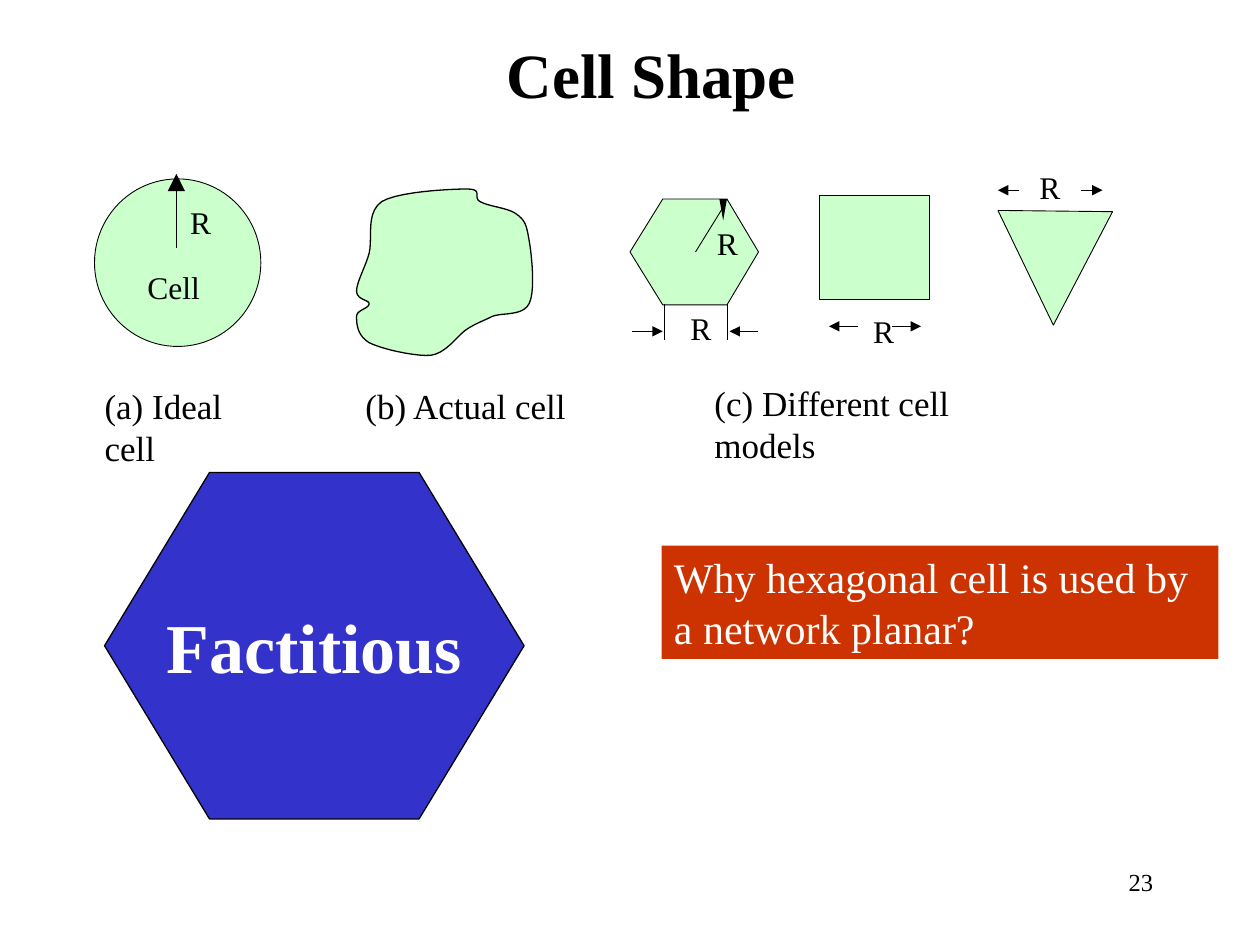
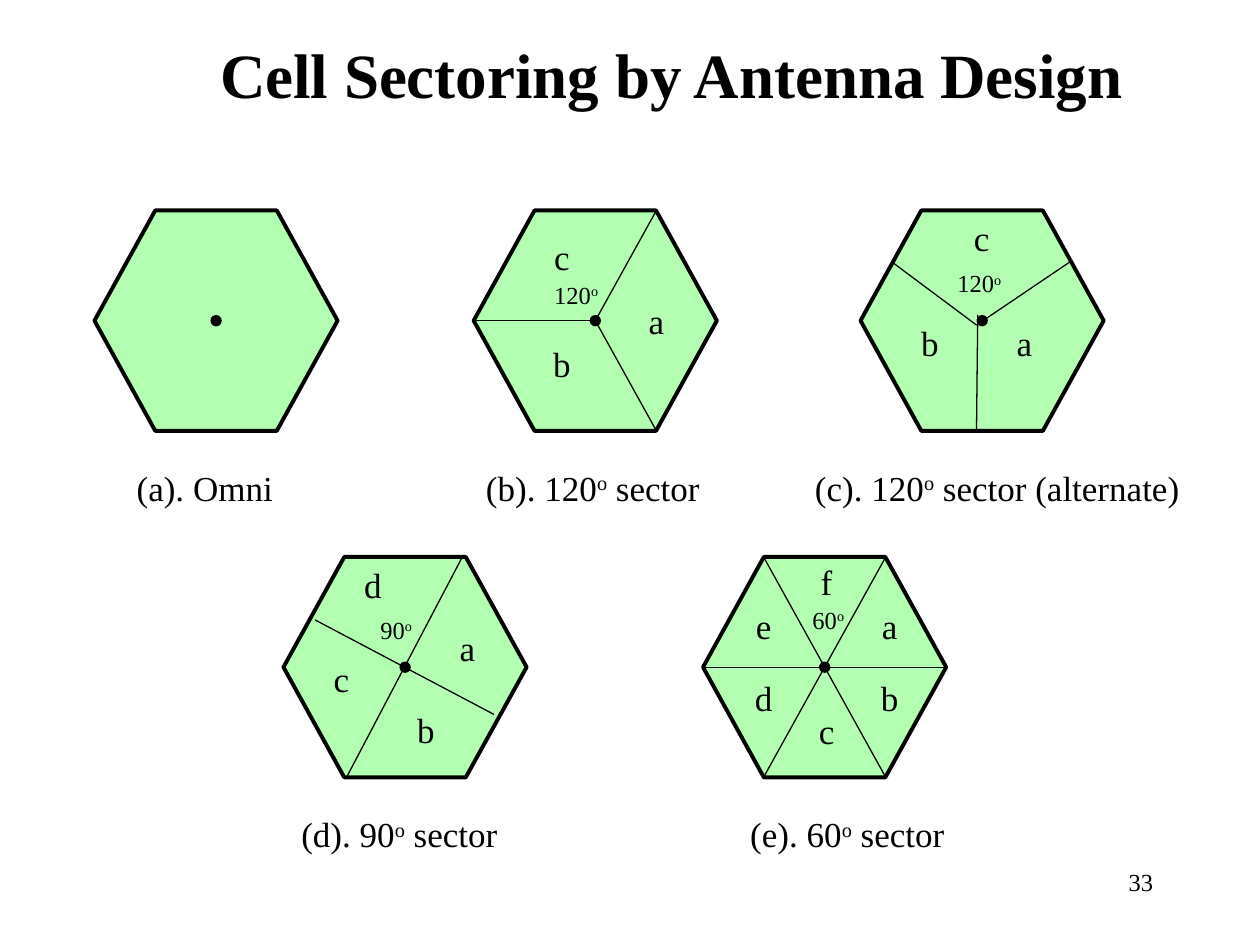
from lxml.etree import SubElement
from pptx import Presentation
from pptx.dml.color import RGBColor
from pptx.enum.shapes import MSO_CONNECTOR, MSO_SHAPE
from pptx.enum.text import MSO_ANCHOR, MSO_AUTO_SIZE, PP_ALIGN
from pptx.oxml.ns import qn
from pptx.util import Inches, Pt

BLACK = RGBColor(0x00, 0x00, 0x00)
WHITE = RGBColor(0xFF, 0xFF, 0xFF)
PALE_GREEN = RGBColor(0x99, 0xFF, 0x99)
GREEN = RGBColor(0x66, 0xFF, 0x66)
BLUE = RGBColor(0x33, 0x33, 0xCC)
RED = RGBColor(0xCC, 0x33, 0x00)
FONT = "Times New Roman"

# The slide is a grid of 10 columns by 7.5 rows
COLUMNS, ROWS = 10, 7.5
UNIT = Inches(1)


def grid(*lengths):
    return [round(length * UNIT) for length in lengths]


def curve(start, segments, steps=10):
    """Points along a chain of cubic curves."""
    points = [start]
    for first, second, end in segments:
        begin = points[-1]
        for step in range(1, steps + 1):
            t = step / steps
            weights = (1 - t) ** 3, 3 * t * (1 - t) ** 2, 3 * t * t * (1 - t), t ** 3
            points.append(tuple(
                sum(weight * value for weight, value in zip(weights, values))
                for values in zip(begin, first, second, end)))
    return points


class Painter:
    """Holds the style and the current slide."""

    def __init__(self):
        self.deck = Presentation()
        self.deck.slide_width, self.deck.slide_height = grid(COLUMNS, ROWS)
        self.page = None

    def new_page(self, title, title_left, number):
        self.page = self.deck.slides.add_slide(self.deck.slide_layouts[6])
        self.text(number, 7.17, 6.83, 2.08, 0.5, 14, align=PP_ALIGN.RIGHT, grow=False)
        self.text(title, title_left, 0.17, 8.5, 0.83, 36, bold=True,
                  align=PP_ALIGN.CENTER, anchor=MSO_ANCHOR.MIDDLE, grow=False)

    def fill_text(self, box, text, size, color=BLACK, bold=False, align=PP_ALIGN.LEFT,
                  anchor=MSO_ANCHOR.TOP, wrap=True, grow=True, spaced=False, inset=True):
        """Fill a box with text; parts between bars are raised."""
        frame = box.text_frame
        frame.word_wrap = wrap
        frame.vertical_anchor = anchor
        frame.auto_size = MSO_AUTO_SIZE.SHAPE_TO_FIT_TEXT if grow else MSO_AUTO_SIZE.NONE
        if not inset:
            frame.margin_left = frame.margin_right = 0
            frame.margin_top = frame.margin_bottom = 0
        para = frame.paragraphs[0]
        para.alignment = align
        if spaced:
            before = SubElement(para._p.get_or_add_pPr(), qn("a:spcBef"))
            SubElement(before, qn("a:spcPct")).set("val", "50000")
        for index, part in enumerate(text.split("|")):
            if not part:
                continue
            span = para.add_run()
            span.text = part
            span.font.name, span.font.size = FONT, Pt(size)
            span.font.bold = bold
            span.font.color.rgb = color
            if index % 2:
                span.font._element.set("baseline", "30000")

    def text(self, text, left, top, width, height, size, **style):
        box = self.page.shapes.add_textbox(*grid(left, top, width, height))
        self.fill_text(box, text, size, **style)

    def label(self, text, left, top, width=0.17, height=0.3, size=18, wrap=False):
        self.text(text, left, top, width, height, size, wrap=wrap, inset=False)

    def spaced_text(self, text, left, top, width, height=0.43, size=20,
                    align=PP_ALIGN.CENTER):
        self.text(text, left, top, width, height, size, align=align, spaced=True)

    def paint(self, shape, fill, weight, sheer):
        shape.shadow.inherit = False
        shape.fill.solid()
        shape.fill.fore_color.rgb = fill
        if sheer:
            tint = shape._element.spPr.find(qn("a:solidFill"))[0]
            SubElement(tint, qn("a:alpha")).set("val", "50000")
        if weight:
            shape.line.color.rgb = BLACK
            shape.line.width = Pt(weight)
        else:
            shape.line.fill.background()
        return shape

    def shape(self, kind, left, top, width, height, fill, weight=0, sheer=False, cut=None):
        shape = self.page.shapes.add_shape(kind, *grid(left, top, width, height))
        if cut:
            shape.adjustments[0] = cut
        return self.paint(shape, fill, weight, sheer)

    def outline(self, points, fill, weight=0, sheer=False):
        start, *others = [grid(*point) for point in points]
        builder = self.page.shapes.build_freeform(*start, scale=1.0)
        builder.add_line_segments(others, close=True)
        return self.paint(builder.convert_to_shape(), fill, weight, sheer)

    def line(self, start, end, weight=0.5, head=None):
        line = self.page.shapes.add_connector(
            MSO_CONNECTOR.STRAIGHT, *grid(*start, *end))
        line.line.color.rgb = BLACK
        line.line.width = Pt(weight)
        if head:
            tip = SubElement(line._element.spPr.find(qn("a:ln")), qn("a:tailEnd"))
            for name, value in (("type", "triangle"), ("w", head), ("len", head)):
                tip.set(name, value)
        SubElement(line._element.spPr, qn("a:effectLst"))


def draw_cell_shape(painter):
    painter.new_page("Cell Shape", 0.92, "23")
    thin = dict(fill=PALE_GREEN, weight=0.5, sheer=True)

    # Ideal cell
    painter.shape(MSO_SHAPE.OVAL, 0.75, 1.42, 1.32, 1.33, **thin)
    painter.label("Cell", 1.17, 2.13, 0.42)
    painter.line((1.4, 1.97), (1.4, 1.38), head="lg")

    # Actual cell
    painter.outline(curve((3.71, 1.5), [
        ((3.58, 1.5), (3.16, 1.52), (3.03, 1.6)),
        ((2.9, 1.69), (2.96, 1.89), (2.93, 2.01)),
        ((2.9, 2.12), (2.83, 2.24), (2.83, 2.31)),
        ((2.83, 2.38), (2.93, 2.38), (2.93, 2.41)),
        ((2.93, 2.45), (2.83, 2.46), (2.83, 2.51)),
        ((2.83, 2.56), (2.83, 2.66), (2.93, 2.72)),
        ((3.03, 2.77), (3.29, 2.83), (3.42, 2.82)),
        ((3.55, 2.8), (3.63, 2.66), (3.71, 2.61)),
        ((3.79, 2.56), (3.83, 2.55), (3.91, 2.51)),
        ((3.99, 2.48), (4.15, 2.51), (4.2, 2.41)),
        ((4.25, 2.31), (4.22, 2.02), (4.2, 1.91)),
        ((4.18, 1.79), (4.17, 1.75), (4.1, 1.7)),
        ((4.04, 1.65), (3.88, 1.64), (3.81, 1.6)),
        ((3.75, 1.57), (3.84, 1.5), (3.71, 1.5)),
    ]), PALE_GREEN, 0.75, sheer=True)

    # Cell models: hexagon, square, triangle
    painter.outline([(5.26, 1.58), (5, 2), (5.26, 2.42),
                     (5.77, 2.42), (6.02, 2), (5.77, 1.58)], **thin)
    painter.shape(MSO_SHAPE.RECTANGLE, 6.5, 1.55, 0.88, 0.83, **thin)
    painter.outline([(8.36, 2.58), (8.83, 1.68), (7.92, 1.67)], **thin)

    # Radius of the hexagon and the guides below its side
    painter.line((5.52, 2), (5.73, 1.66))
    painter.outline([(5.71, 1.58), (5.77, 1.58), (5.74, 1.75)], BLACK)
    for guide in (5.27, 5.77):
        painter.line((guide, 2.41), (guide, 2.7))

    # Size arrows: row, then start and tip of each
    for row, arrows in ((2.63, ((5.02, 5.26), (6.02, 5.79))),
                        (2.59, ((6.81, 6.58), (7.08, 7.31))),
                        (1.51, ((8.09, 7.92), (8.58, 8.75)))):
        for start, tip in arrows:
            painter.line((start, row), (tip, row), head="med")
    for left, top in ((1.51, 1.61), (5.69, 1.78), (5.48, 2.45), (6.93, 2.48), (8.25, 1.33)):
        painter.label("R", left, top)

    # Captions
    for caption, left, top, width, wrap in (
            ("(a) Ideal cell", 0.83, 3.05, 1.3, True),
            ("(b) Actual cell", 2.9, 3.05, 1.6, False),
            ("(c) Different cell models", 5.67, 3.03, 2.6, True)):
        painter.label(caption, left, top, width, 0.33, 20, wrap)

    # Large hexagon and question
    hexagon = painter.shape(MSO_SHAPE.HEXAGON, 0.83, 3.75, 3.33, 2.75, BLUE, 0.75, cut=0.303)
    painter.fill_text(hexagon, "Factitious", 40, WHITE, bold=True, align=PP_ALIGN.CENTER,
                      anchor=MSO_ANCHOR.MIDDLE, wrap=False, grow=False)
    question = painter.shape(MSO_SHAPE.RECTANGLE, 5.25, 4.33, 4.42, 0.9, RED)
    painter.fill_text(question, "Why hexagonal cell is used by a network planar?", 24, WHITE,
                      spaced=True)


# Sectored cells: all places inside a cell count from its top left corner
CELL_WIDTH, CELL_HEIGHT = 1.93, 1.75
MIDDLE = CELL_WIDTH / 2, CELL_HEIGHT / 2
WEST, EAST = (0, MIDDLE[1]), (CELL_WIDTH, MIDDLE[1])
NORTH_WEST, NORTH_EAST = (0.48, 0), (1.45, 0)
SOUTH_WEST, SOUTH_EAST = (0.48, CELL_HEIGHT), (1.45, CELL_HEIGHT)
DOT = 0.08
TOP_ROW, BOTTOM_ROW = 1.67, 4.42

# Corner, caption with its left and width, angle with its place, borders, letters
CELLS = (
    ((0.75, TOP_ROW), ("(a). Omni", 0.75, 1.75), None, (), {}),
    ((3.76, TOP_ROW), ("(b). 120|o| sector", 3.58, 2.25), ("120", 0.54, 0.5),
     ((WEST, MIDDLE), (MIDDLE, NORTH_EAST), (MIDDLE, SOUTH_EAST)),
     {"a": (1.24, 0.66), "b": (0.49, 1), "c": (0.49, 0.15)}),
    ((6.83, TOP_ROW), ("(c). 120|o| sector (alternate)", 6.25, 3.33), ("120", 0.67, 0.41),
     (((0.25, 0.41), (0.92, 0.91)), ((0.92, 0.91), (1.66, 0.41)),
      ((0.93, 0.83), (0.92, CELL_HEIGHT))),
     {"a": (1.09, 0.83), "b": (0.34, 0.83), "c": (0.75, 0)}),
    ((2.25, BOTTOM_ROW), ("(d). 90|o| sector", 2.17, 2), ("90", 0.67, 0.41),
     (((0.25, 0.5), (1.67, 1.25)), ((0.5, CELL_HEIGHT), (1.42, 0))),
     {"a": (1.25, 0.5), "b": (0.92, 1.15), "c": (0.25, 0.75), "d": (0.5, 0)}),
    ((5.58, BOTTOM_ROW), ("(e). 60|o| sector", 5.6, 2.25), ("60", 0.77, 0.33),
     ((WEST, EAST), (SOUTH_WEST, NORTH_EAST), (NORTH_WEST, SOUTH_EAST)),
     {"a": (1.27, 0.33), "b": (1.27, 0.9), "c": (0.77, 1.16),
      "d": (0.27, 0.9), "e": (0.27, 0.33), "f": (0.77, -0.02)}),
)


def draw_sectored_cell(painter, corner, caption, angle, borders, letters):
    def place(point):
        return corner[0] + point[0], corner[1] + point[1]

    painter.shape(MSO_SHAPE.HEXAGON, *corner, CELL_WIDTH, CELL_HEIGHT, GREEN, 2.25,
                  sheer=True, cut=0.276)
    for start, end in borders:
        painter.line(place(start), place(end), 0.75)
    dot_corner = place([half - DOT / 2 for half in MIDDLE])
    painter.shape(MSO_SHAPE.OVAL, *dot_corner, DOT, DOT, BLACK, 0.75)
    if angle:
        degrees, *offset = angle
        painter.spaced_text(degrees + "|o|", *place(offset), 0.28 + 0.14 * len(degrees),
                            0.33, 14, PP_ALIGN.LEFT)
    for letter, offset in letters.items():
        painter.spaced_text(letter, *place(offset), 0.42)
    words, left, width = caption
    painter.spaced_text(words, left, corner[1] + 1.98, width)


def main():
    painter = Painter()
    draw_cell_shape(painter)
    painter.new_page("Cell Sectoring by Antenna Design", 1.08, "33")
    for cell in CELLS:
        draw_sectored_cell(painter, *cell)
    painter.deck.save("out.pptx")


if __name__ == "__main__":
    main()
